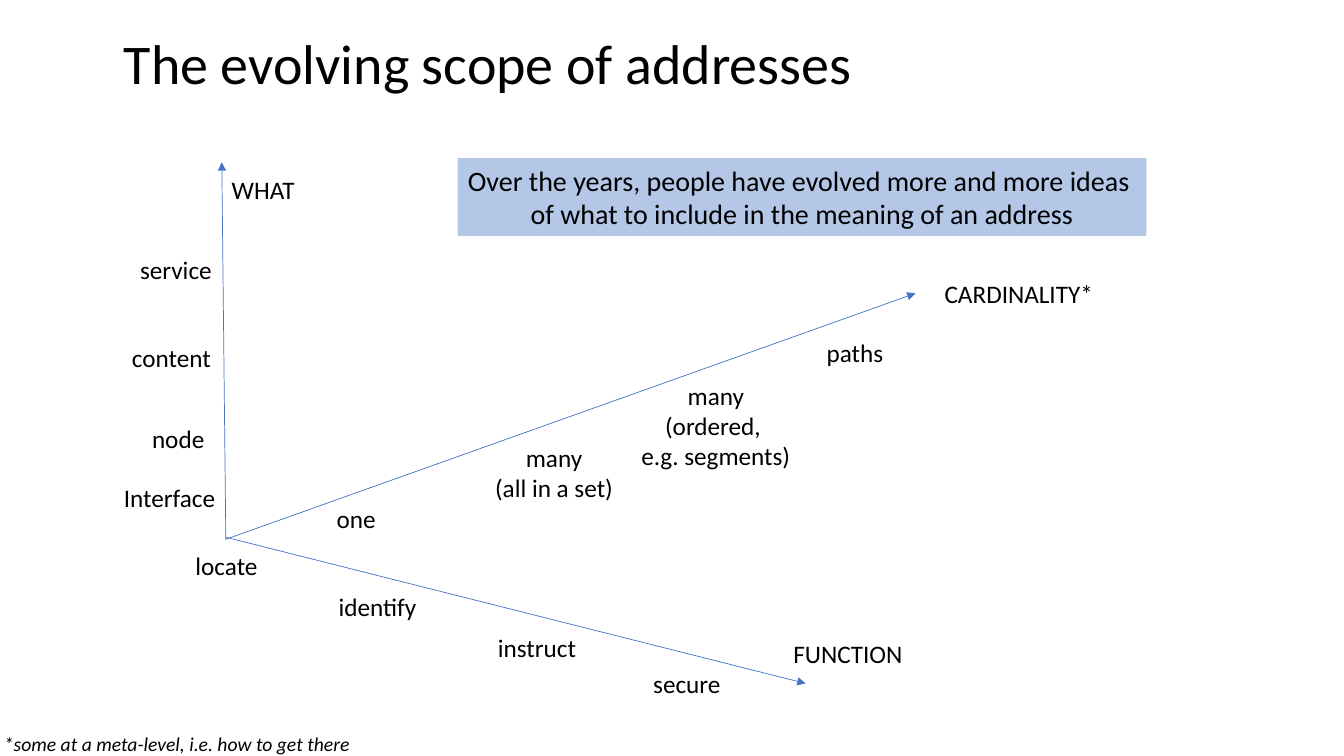
from lxml import etree
from pptx import Presentation
from pptx.dml.color import RGBColor
from pptx.enum.shapes import MSO_CONNECTOR, MSO_SHAPE
from pptx.enum.text import MSO_ANCHOR, MSO_AUTO_SIZE, PP_ALIGN
from pptx.oxml.ns import qn
from pptx.util import Inches, Pt

STRAIGHT = MSO_CONNECTOR.STRAIGHT
RECTANGLE = MSO_SHAPE.RECTANGLE
TOP = MSO_ANCHOR.TOP
FIT_SHAPE = MSO_AUTO_SIZE.SHAPE_TO_FIT_TEXT
LEFT, CENTER = PP_ALIGN.LEFT, PP_ALIGN.CENTER

deck = Presentation()
deck.slide_width, deck.slide_height = Inches(13.33), Inches(7.5)
page = deck.slides.add_slide(deck.slide_layouts[6])


def color(value):
    """Turn a hex string into a colour."""
    return RGBColor.from_string(value)


def add_text(text, left, top, width, height=0.4, size=18, align=LEFT,
             italic=False, wrap=False, fill=None):
    """Add text in a plain box, or in a filled rectangle if fill is given."""
    area = [Inches(length) for length in (left, top, width, height)]
    if fill:
        box = page.shapes.add_shape(RECTANGLE, *area)
        box.shadow.inherit = False
        box.fill.solid()
        box.fill.fore_color.rgb = color(fill)
        box.line.fill.background()
    else:
        box = page.shapes.add_textbox(*area)
    frame = box.text_frame
    frame.word_wrap = wrap
    frame.auto_size = FIT_SHAPE
    frame.vertical_anchor = TOP
    frame.text = text
    for para in frame.paragraphs:
        para.alignment = align
        for span in para.runs:
            span.font.name = "Calibri"
            span.font.size = Pt(size)
            span.font.italic = italic
            span.font.color.rgb = color("000000")


add_text("The evolving scope of addresses", 1.13, 0.23, 10.92, 0.77,
         size=40, wrap=True)
add_text("Over the years, people have evolved more and more ideas \v"
         "of what to include in the meaning of an address",
         4.54, 1.57, 6.83, 0.77, size=20, align=CENTER, fill="B4C7E7")

# Axes: start and arrow tip
axes = [
    ((2.24, 5.35), (2.2, 1.61)),
    ((2.24, 5.35), (9.08, 2.91)),
    ((2.24, 5.33), (7.99, 6.78)),
]
for start, tip in axes:
    axis = page.shapes.add_connector(
        STRAIGHT, *[Inches(length) for length in start + tip])
    axis.line.color.rgb = color("4472C4")
    axis.line.width = Pt(0.5)
    etree.SubElement(axis.line._get_or_add_ln(), qn("a:tailEnd"),
                     type="triangle")
    etree.SubElement(axis._element.spPr, qn("a:effectLst"))

# Axis names and their one-line values: text, left, top, width
labels = [
    ("WHAT", 2.2, 1.68, 0.83),
    ("service", 1.29, 2.47, 0.92),
    ("content", 1.21, 3.35, 0.99),
    ("node", 1.41, 4.15, 0.73),
    ("Interface ", 1.13, 4.74, 1.17),
    ("CARDINALITY*", 9.27, 2.71, 1.69),
    ("one", 3.24, 4.94, 0.59),
    ("paths", 8.1, 3.3, 0.77),
    ("FUNCTION", 7.77, 6.28, 1.29),
    ("locate", 1.84, 5.41, 0.82),
    ("identify", 3.26, 5.82, 0.98),
    ("instruct", 4.84, 6.22, 0.98),
    ("secure", 6.38, 6.58, 0.88),
]
for label in labels:
    add_text(*label)

add_text("many\n(all in a set)", 4.8, 4.34, 1.39, 0.71, align=CENTER)
add_text("many\n(ordered, \ve.g. segments)", 6.25, 3.72, 1.7, 1.01,
         align=CENTER)
add_text("*some at a meta-level, i.e. how to get there",
         -0.06, 7.21, 3.68, 0.34, size=14, italic=True)

deck.save("out.pptx")
